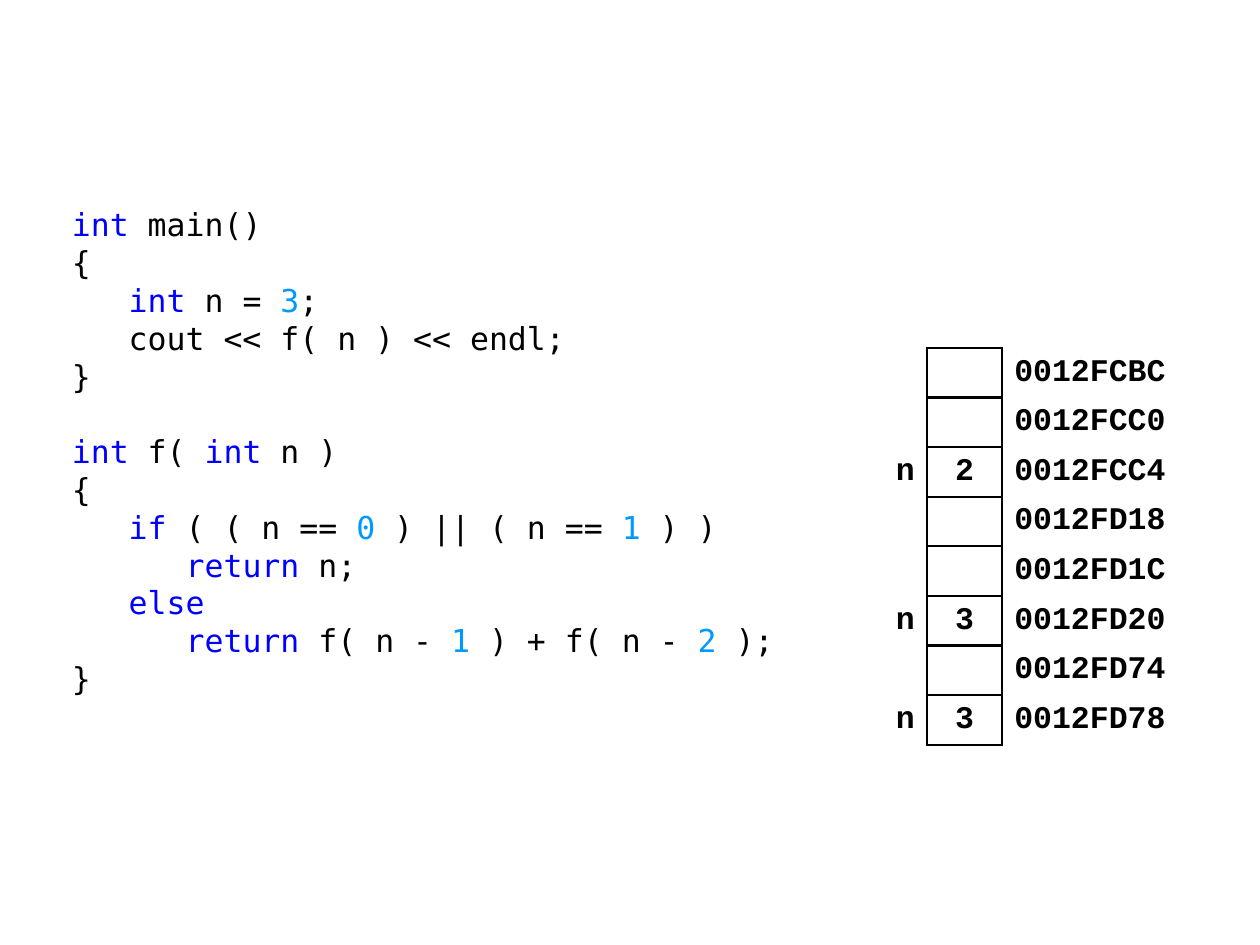
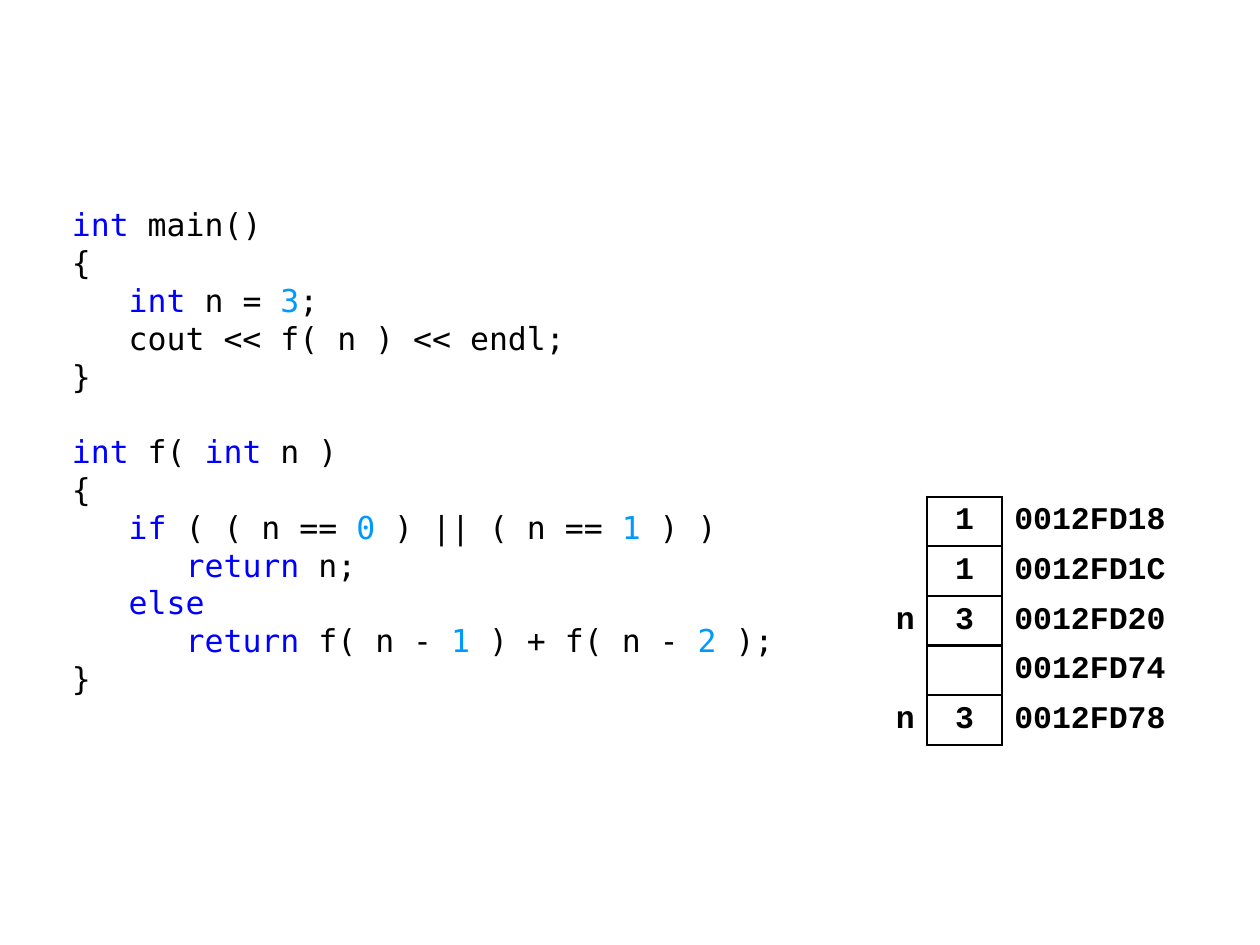
from itertools import groupby

from lxml import etree
from pptx import Presentation
from pptx.dml.color import RGBColor
from pptx.enum.text import MSO_ANCHOR, MSO_AUTO_SIZE, PP_ALIGN
from pptx.oxml.ns import qn
from pptx.util import Pt

LEFT, CENTER, RIGHT = PP_ALIGN.LEFT, PP_ALIGN.CENTER, PP_ALIGN.RIGHT
TOP, MIDDLE = MSO_ANCHOR.TOP, MSO_ANCHOR.MIDDLE
NO_AUTOFIT = MSO_AUTO_SIZE.NONE

BLACK, KEYWORD_BLUE, NUMBER_BLUE = "000000", "0000FF", "0099FF"
CODE_FONT, MEMORY_FONT = "DejaVu Sans Mono", "Courier New"
PLAIN_TABLE_STYLE = "{2D5ABB26-0587-4C30-8999-92F81FD0307C}"
KEYWORDS = {"int", "if", "else", "return"}
CONTENT_TOP = 113.76
CODE_LINE = 21.6
ROW_COUNT, ROW_HEIGHT = 11, 28.35
COLUMN_WIDTHS = [28.08, 42.48, 99.4]
COLUMN_ALIGNMENTS = [RIGHT, CENTER, LEFT]
COLUMN_BORDERS = ["R", "LRTB", "L"]

CODE = """int main()
{
   int n = 3;
   cout << f( n ) << endl;
}

int f( int n )
{
   if ( ( n == 0 ) || ( n == 1 ) )
      return n;
   else
      return f( n - 1 ) + f( n - 2 );
}"""

# One list per slide: variable, value, address; the stack ends at the last row
STACKS = [
    [
        ("", "", "0012FCBC"),
        ("", "", "0012FCC0"),
        ("n", "2", "0012FCC4"),
        ("", "", "0012FD18"),
        ("", "", "0012FD1C"),
        ("n", "3", "0012FD20"),
        ("", "", "0012FD74"),
        ("n", "3", "0012FD78"),
    ],
    [
        ("", "1", "0012FD18"),
        ("", "1", "0012FD1C"),
        ("n", "3", "0012FD20"),
        ("", "", "0012FD74"),
        ("n", "3", "0012FD78"),
    ],
]


def add_text(paragraph, text, font, color=BLACK, bold=False):
    span = paragraph.add_run()
    span.text = text
    span.font.name = font
    span.font.size = Pt(18)
    span.font.bold = bold
    span.font.color.rgb = RGBColor.from_string(color)


def add_borders(cell, sides):
    """Draw black borders on the sides named by letters, in the order LRTB."""
    properties = cell._tc.get_or_add_tcPr()
    for side in sides:
        line = etree.SubElement(properties, qn(f"a:ln{side}"), w=str(Pt(1.5)))
        fill = etree.SubElement(line, qn("a:solidFill"))
        etree.SubElement(fill, qn("a:srgbClr"), val=BLACK)


deck = Presentation()
deck.slide_width, deck.slide_height = Pt(720), Pt(540)

for stack in STACKS:
    page = deck.slides.add_slide(deck.slide_layouts[1])
    title = page.shapes.title._element
    title.getparent().remove(title)

    # Program listing
    body = page.placeholders[1]
    body.left, body.top = Pt(33.84), Pt(CONTENT_TOP)
    body.width, body.height = Pt(425.5), Pt(297.4)
    frame = body.text_frame
    frame.word_wrap = True
    frame.auto_size = NO_AUTOFIT
    frame.vertical_anchor = TOP
    paragraph = frame.paragraphs[0]
    gap = 0
    for number, code_line in enumerate(CODE.splitlines()):
        if not code_line:
            gap = CODE_LINE
            continue
        if number:
            paragraph = frame.add_paragraph()
        properties = paragraph._p.get_or_add_pPr()
        properties.set("marL", "0")
        properties.set("indent", "0")
        etree.SubElement(properties, qn("a:buNone"))
        paragraph.alignment = LEFT
        paragraph.line_spacing = Pt(CODE_LINE)
        paragraph.space_before = Pt(gap)
        paragraph.space_after = Pt(0)
        gap = 0

        colored = []
        for _, letters in groupby(code_line, str.isalnum):
            token = "".join(letters)
            color = BLACK
            if token in KEYWORDS:
                color = KEYWORD_BLUE
            elif token.isdigit():
                color = NUMBER_BLUE
            colored.append((color, token))
        for color, tokens in groupby(colored, lambda pair: pair[0]):
            text = "".join(token for _, token in tokens)
            add_text(paragraph, text, CODE_FONT, color=color)

    # Memory stack
    table = page.shapes.add_table(
        ROW_COUNT, len(COLUMN_WIDTHS), Pt(501.84), Pt(CONTENT_TOP),
        Pt(sum(COLUMN_WIDTHS)), Pt(ROW_COUNT * ROW_HEIGHT)).table
    table.first_row = table.horz_banding = False
    table._tbl.tblPr.find(qn("a:tableStyleId")).text = PLAIN_TABLE_STYLE
    for column, width in zip(table.columns, COLUMN_WIDTHS):
        column.width = Pt(width)

    first_used = ROW_COUNT - len(stack)
    for row_index, row in enumerate(table.rows):
        row.height = Pt(ROW_HEIGHT)
        for column_index, cell in enumerate(row.cells):
            cell.vertical_anchor = MIDDLE
            cell.margin_left = Pt(7.2)
            cell.margin_right = Pt(5 if column_index == 2 else 7.2)
            cell.margin_top = cell.margin_bottom = Pt(2.88)
            if row_index >= first_used:
                add_borders(cell, COLUMN_BORDERS[column_index])
                text = stack[row_index - first_used][column_index]
                if text:
                    paragraph = cell.text_frame.paragraphs[0]
                    paragraph.alignment = COLUMN_ALIGNMENTS[column_index]
                    add_text(paragraph, text, MEMORY_FONT, bold=True)
            elif row_index == first_used - 1 and column_index == 1:
                add_borders(cell, "B")
            cell.fill.background()

deck.save("out.pptx")
